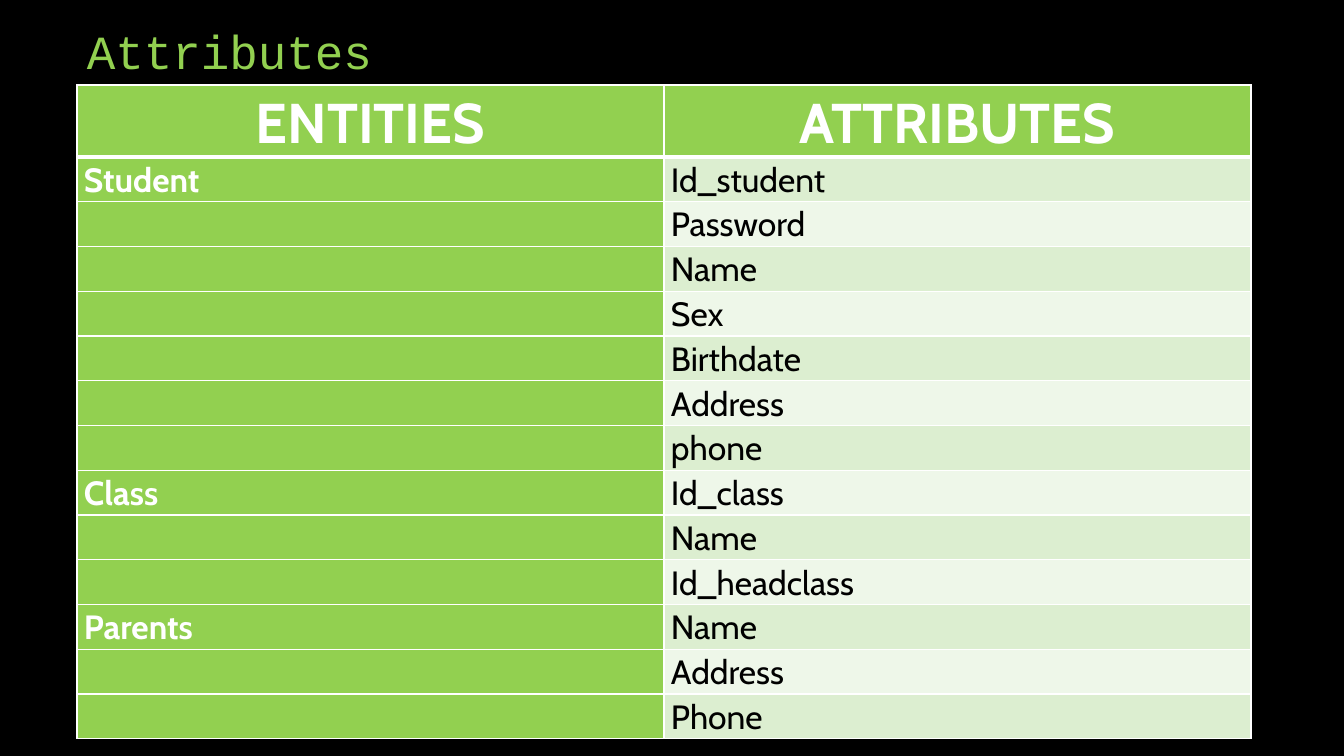
from lxml import etree
from pptx import Presentation
from pptx import util as u
from pptx.dml.color import RGBColor
from pptx.enum import text
from pptx.oxml.ns import qn

SCALE = 914400 / 100.8
HUES = {"back": "000000", "green": "92D050", "white": "FFFFFF",
        "ink": "000000", "odd": "DCEED0", "even": "EEF7E9"}
ALIGN = text.PP_ALIGN

GROUPS = {
    "Student": ["Id_student", "Password", "Name", "Sex", "Birthdate",
                "Address", "phone"],
    "Class": ["Id_class", "Name", "Id_headclass"],
    "Parents": ["Name", "Address", "Phone"],
}


def px(n):
    return u.Emu(round(n * SCALE))


def hue(name):
    return RGBColor.from_string(HUES[name])


class Deck:
    def __init__(self, wide, high):
        self.prs = Presentation()
        self.prs.slide_width, self.prs.slide_height = px(wide), px(high)
        self.slide = self.prs.slides.add_slide(self.prs.slide_layouts[6])
        fill = self.slide.background.fill
        fill.solid()
        fill.fore_color.rgb = hue("back")

    def label(self, frame, words, size, face, color, bold=False,
              align=ALIGN.LEFT, lead=1.0):
        par = frame.paragraphs[0]
        par.text = words
        par.alignment, par.line_spacing = align, lead
        font = par.font
        font.size, font.name, font.bold = u.Pt(size), face, bold
        font.color.rgb = hue(color)

    def title(self, words, x, y, w, h):
        frame = self.slide.shapes.add_textbox(px(x), px(y), px(w), px(h)).text_frame
        frame.word_wrap = True
        frame.vertical_anchor = text.MSO_ANCHOR.BOTTOM
        self.label(frame, words, 34, "Courier New", "green", lead=0.9)

    def edge(self, cell, **sides):
        props = cell._tc.get_or_add_tcPr()
        for spot, (side, width) in enumerate(sides.items()):
            line = etree.Element(qn("a:ln" + side), w=str(u.Pt(width)))
            solid = etree.SubElement(line, qn("a:solidFill"))
            etree.SubElement(solid, qn("a:srgbClr"), val=HUES["white"])
            props.insert(spot, line)

    def cell(self, cell, words, fill, size, color, bold, align):
        cell.margin_left = cell.margin_right = px(7)
        cell.margin_top = cell.margin_bottom = 0
        cell.fill.solid()
        cell.fill.fore_color.rgb = hue(fill)
        self.label(cell.text_frame, words, size, "Cabin", color, bold, align, 1.07)

    def table(self, heads, rows, x, y, w, top, body):
        frame = self.slide.shapes.add_table(
            len(rows) + 1, len(heads), px(x), px(y), px(w), px(top + body))
        grid = frame.table
        for col in grid.columns:
            col.width = px(w / len(heads))
        for r, line in enumerate([heads] + rows):
            grid.rows[r].height = px(body / len(rows) if r else top)
            for c, words in enumerate(line):
                cell = grid.cell(r, c)
                if r == 0:
                    look = ("green", 40, "white", True, ALIGN.CENTER)
                elif c == 0:
                    look = ("green", 24, "white", True, ALIGN.JUSTIFY)
                else:
                    band = "odd" if r % 2 else "even"
                    look = (band, 24, "ink", False, ALIGN.JUSTIFY)
                self.cell(cell, words, *look)
                self.edge(cell, L=1, R=1, T=3 if r == 1 else 1,
                          B=1 if r else 3)


def main():
    deck = Deck(1344, 756)
    # Heading
    deck.title("Attributes", 77, -41, 1008, 126)
    # Each entity is named once, beside its first attribute
    rows = [("" if i else name, item)
            for name, items in GROUPS.items() for i, item in enumerate(items)]
    deck.table(("ENTITIES", "ATTRIBUTES"), rows, 77, 85, 1174, 69, 582)
    deck.prs.save("out.pptx")


if __name__ == "__main__":
    main()
